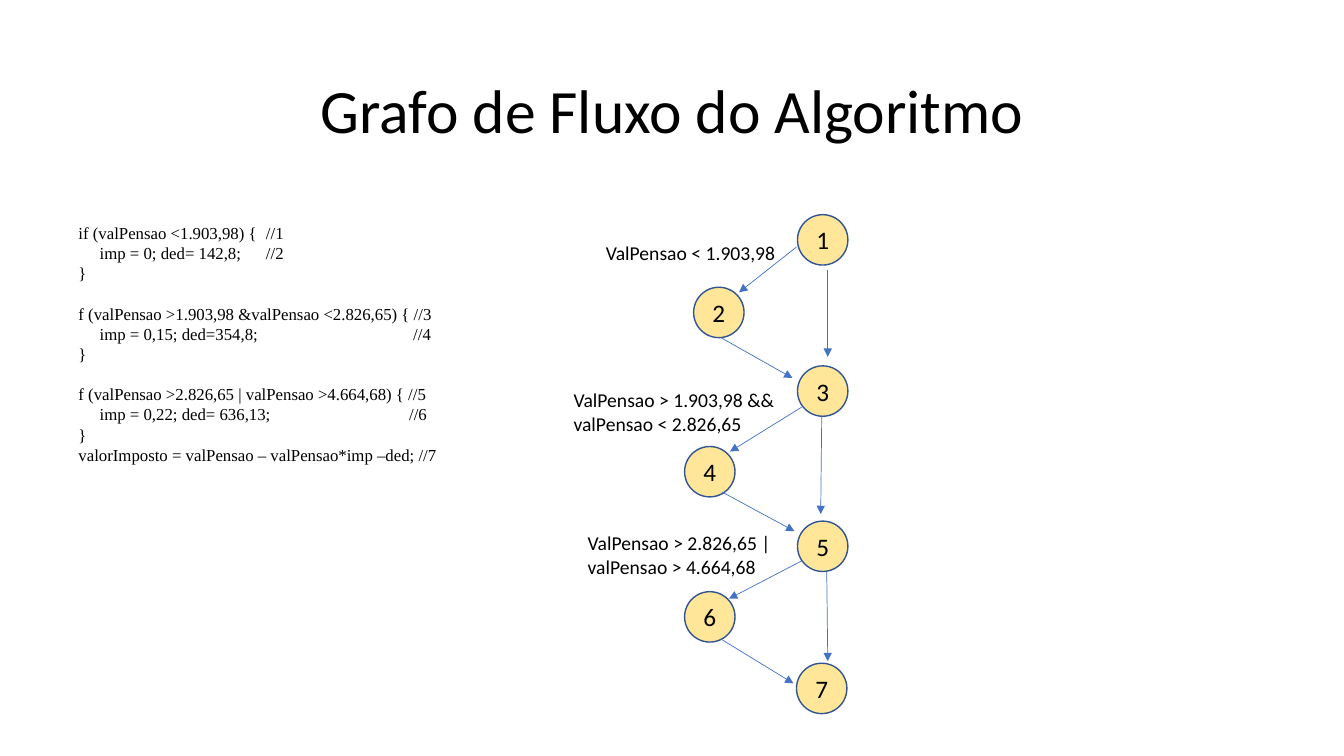
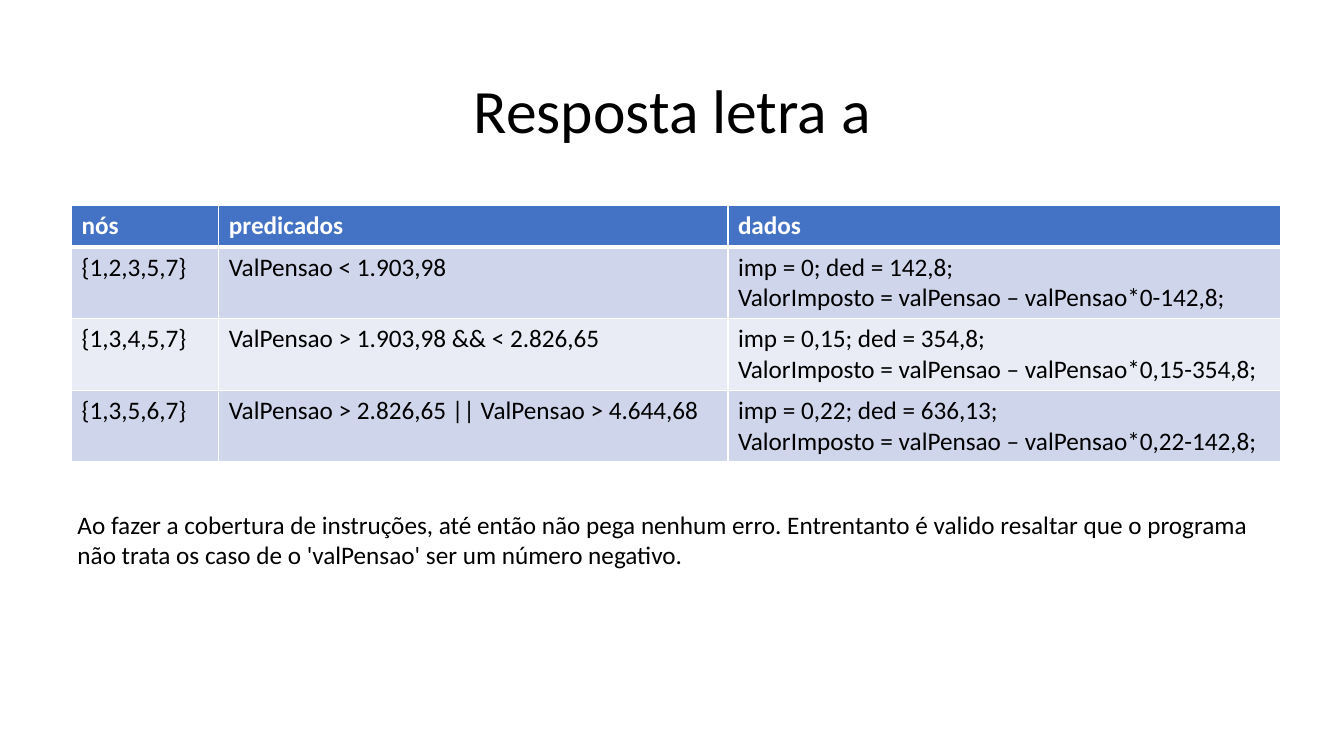
from dataclasses import dataclass
from typing import NamedTuple, Optional, Sequence

from lxml.etree import SubElement
from pptx import Presentation
from pptx.dml.color import RGBColor
from pptx.enum.shapes import MSO_CONNECTOR as Connector, MSO_SHAPE as Preset
from pptx.enum.text import MSO_ANCHOR as Anchor, MSO_AUTO_SIZE as AutoSize, PP_ALIGN as Align
from pptx.oxml.ns import qn
from pptx.slide import Slide
from pptx.table import _Cell as Cell
from pptx.text.text import TextFrame, _Paragraph as Paragraph
from pptx.util import Inches, Pt


# Shared look
@dataclass(frozen=True)
class Theme:
    font: str = "Calibri"
    code_font: str = "Times New Roman"
    ink: RGBColor = RGBColor(0, 0, 0)
    white: RGBColor = RGBColor(255, 255, 255)
    accent: RGBColor = RGBColor.from_string("4472C4")
    node_fill: RGBColor = RGBColor.from_string("FFE699")
    node_edge: RGBColor = RGBColor.from_string("325491")
    bands: tuple = (RGBColor.from_string("CFD5EA"), RGBColor.from_string("E9EBF5"))
    title_size: float = 44
    body_size: float = 18
    label_size: float = 14
    code_size: float = 12
    code_leading: float = 14.4


THEME = Theme()
TITLE_ONLY = 5
NODE_SIZE = 0.5


class Node(NamedTuple):
    number: int
    left: float
    top: float


class Edge(NamedTuple):
    start: tuple[float, float]
    end: tuple[float, float]


class Label(NamedTuple):
    text: str
    left: float
    top: float
    width: float
    height: float


class CodeBlock(NamedTuple):
    lines: Sequence[str]
    comment_at: float


# Building helpers
def write(frame: TextFrame, text: str, *, size: float = THEME.body_size,
          font: str = THEME.font, color: RGBColor = THEME.ink, bold: bool = False,
          align: Align = Align.LEFT, anchor: Anchor = Anchor.TOP,
          spacing: Optional[float] = None) -> list[Paragraph]:
    """Fill a frame with one paragraph per line of text."""
    frame.word_wrap = True
    frame.vertical_anchor = anchor
    paragraphs = []
    for index, line in enumerate(text.split("\n")):
        paragraph = frame.add_paragraph() if index else frame.paragraphs[0]
        paragraph.alignment = align
        if spacing:
            paragraph.line_spacing = spacing
        run = paragraph.add_run()
        run.text = line
        run.font.name, run.font.size, run.font.bold = font, Pt(size), bold
        run.font.color.rgb = color
        paragraphs.append(paragraph)
    return paragraphs


def add_text_frame(slide: Slide, left: float, top: float, width: float,
                   height: float) -> TextFrame:
    box = slide.shapes.add_textbox(Inches(left), Inches(top), Inches(width), Inches(height))
    box.text_frame.auto_size = AutoSize.SHAPE_TO_FIT_TEXT
    return box.text_frame


def add_titled_slide(title_text: str) -> Slide:
    slide = deck.slides.add_slide(deck.slide_layouts[TITLE_ONLY])
    title = slide.shapes.title
    title.left, title.top = Inches(0.92), Inches(0.4)
    title.width, title.height = Inches(11.5), Inches(1.45)
    write(title.text_frame, title_text, size=THEME.title_size, align=Align.CENTER,
          anchor=Anchor.MIDDLE, spacing=0.9)
    return slide


def add_node(slide: Slide, node: Node) -> None:
    circle = slide.shapes.add_shape(Preset.FLOWCHART_CONNECTOR, Inches(node.left),
                                    Inches(node.top), Inches(NODE_SIZE), Inches(NODE_SIZE))
    circle.shadow.inherit = False
    circle.fill.solid()
    circle.fill.fore_color.rgb = THEME.node_fill
    circle.line.color.rgb = THEME.node_edge
    circle.line.width = Pt(1)
    write(circle.text_frame, str(node.number), align=Align.CENTER, anchor=Anchor.MIDDLE)


def add_edge(slide: Slide, edge: Edge) -> None:
    ends = [Inches(value) for value in edge.start + edge.end]
    arrow = slide.shapes.add_connector(Connector.STRAIGHT, *ends)
    arrow.line.color.rgb = THEME.accent
    arrow.line.width = Pt(0.5)
    properties = arrow.element.spPr
    SubElement(properties.find(qn("a:ln")), qn("a:tailEnd"), type="triangle")
    SubElement(properties, qn("a:effectLst"))


def add_label(slide: Slide, label: Label) -> None:
    write(add_text_frame(slide, *label[1:]), label.text, size=THEME.label_size)


def set_tabs(paragraph: Paragraph, stops: Sequence[float]) -> None:
    tabs = SubElement(paragraph._p.get_or_add_pPr(), qn("a:tabLst"))
    for stop in stops:
        SubElement(tabs, qn("a:tab"), pos=str(Inches(stop)), algn="l")


def add_code(slide: Slide, blocks: Sequence[CodeBlock]) -> None:
    frame = add_text_frame(slide, 0.68, 2.16, 3.81, 2.52)
    source = "\n".join(line for block in blocks for line in block.lines)
    paragraphs = iter(write(frame, source, size=THEME.code_size, font=THEME.code_font))
    for block_index, block in enumerate(blocks):
        for line_index, line in enumerate(block.lines):
            paragraph = next(paragraphs)
            paragraph.line_spacing = Pt(THEME.code_leading)
            if block_index and line_index == 0:
                paragraph.space_before = Pt(THEME.code_leading)
            if "\t" in line:
                indent = [0.21] if line.startswith("\t") else []
                set_tabs(paragraph, indent + [block.comment_at])


def set_borders(cell: Cell, top: float, bottom: float) -> None:
    properties = cell._tc.get_or_add_tcPr()
    for side, width in (("L", 1), ("R", 1), ("T", top), ("B", bottom)):
        line = SubElement(properties, qn(f"a:ln{side}"), w=str(Pt(width)))
        fill = SubElement(line, qn("a:solidFill"))
        SubElement(fill, qn("a:srgbClr"), val=str(THEME.white))


def add_path_table(slide: Slide, rows: Sequence[Sequence[str]],
                   widths: Sequence[float]) -> None:
    heights = [0.41] + [0.7] * (len(rows) - 1)
    table = slide.shapes.add_table(len(rows), len(widths), Inches(0.71), Inches(2.04),
                                   Inches(sum(widths)), Inches(sum(heights))).table
    for column, width in zip(table.columns, widths):
        column.width = Inches(width)
    for row_index, (row, height) in enumerate(zip(rows, heights)):
        table.rows[row_index].height = Inches(height)
        header = row_index == 0
        for column_index, text in enumerate(row):
            cell = table.cell(row_index, column_index)
            set_borders(cell, top=3 if row_index == 1 else 1, bottom=3 if header else 1)
            cell.fill.solid()
            cell.fill.fore_color.rgb = THEME.accent if header else THEME.bands[(row_index - 1) % 2]
            write(cell.text_frame, text, bold=header,
                  color=THEME.white if header else THEME.ink)


# Content of the flow graph
CODE = [
    CodeBlock(["if (valPensao <1.903,98) {\t//1", "\timp = 0; ded= 142,8;\t//2", "}"], 1.86),
    CodeBlock(["f (valPensao >1.903,98 &valPensao <2.826,65) { //3",
               "\timp = 0,15; ded=354,8;\t//4", "}"], 3.32),
    CodeBlock(["f (valPensao >2.826,65 | valPensao >4.664,68) { //5",
               "\timp = 0,22; ded= 636,13;\t//6", "}",
               "valorImposto = valPensao – valPensao*imp –ded; //7"], 3.28),
]
NODES = [
    Node(1, 7.91, 2.13), Node(2, 6.88, 2.85), Node(3, 7.91, 3.63), Node(4, 6.79, 4.43),
    Node(5, 7.91, 5.17), Node(6, 6.79, 5.87), Node(7, 7.9, 6.58),
]
EDGES = [
    Edge((7.9, 2.45), (7.33, 2.9)), Edge((7.15, 3.35), (7.86, 3.75)),
    Edge((8.21, 2.68), (8.21, 3.54)), Edge((8.15, 4.13), (8.14, 5.1)),
    Edge((7.15, 6.34), (7.87, 6.78)), Edge((8.2, 5.67), (8.21, 6.56)),
    Edge((7.96, 5.56), (7.23, 5.94)), Edge((7.16, 4.88), (7.88, 5.27)),
    Edge((7.95, 4.04), (7.24, 4.48)),
]
CONDITIONS = [
    Label("ValPensao < 1.903,98", 5.91, 2.34, 1.95, 0.34),
    Label("ValPensao > 1.903,98 && valPensao < 2.826,65", 5.59, 3.8, 2.26, 0.57),
    Label("ValPensao > 2.826,65 | valPensao > 4.664,68", 5.73, 5.22, 2.12, 0.57),
]

# Content of the answer
PATHS = [
    ("nós", "predicados", "dados"),
    ("{1,2,3,5,7}", "ValPensao < 1.903,98",
     "imp = 0; ded = 142,8;\nValorImposto = valPensao – valPensao*0-142,8;"),
    ("{1,3,4,5,7}", "ValPensao > 1.903,98 && < 2.826,65",
     "imp = 0,15; ded = 354,8;\nValorImposto = valPensao – valPensao*0,15-354,8;"),
    ("{1,3,5,6,7}", "ValPensao > 2.826,65 || ValPensao > 4.644,68",
     "imp = 0,22; ded = 636,13;\nValorImposto = valPensao – valPensao*0,22-142,8;"),
]
CONCLUSION = ("Ao fazer a cobertura de instruções, até então não pega nenhum erro. "
              "Entrentanto é valido resaltar que o programa não trata os caso de o "
              "'valPensao' ser um número negativo.")

deck = Presentation()
deck.slide_width, deck.slide_height = Inches(13.33), Inches(7.5)

# Slide 1: flow graph
graph_slide = add_titled_slide("Grafo de Fluxo do Algoritmo")
add_code(graph_slide, CODE)
for node in NODES:
    add_node(graph_slide, node)
for edge in EDGES:
    add_edge(graph_slide, edge)
for condition in CONDITIONS:
    add_label(graph_slide, condition)

# Slide 2: covered paths
answer_slide = add_titled_slide("Resposta letra a")
add_path_table(answer_slide, PATHS, widths=(1.46, 5.05, 5.48))
write(add_text_frame(answer_slide, 0.67, 5, 11.99, 0.71), CONCLUSION)

deck.save("out.pptx")
